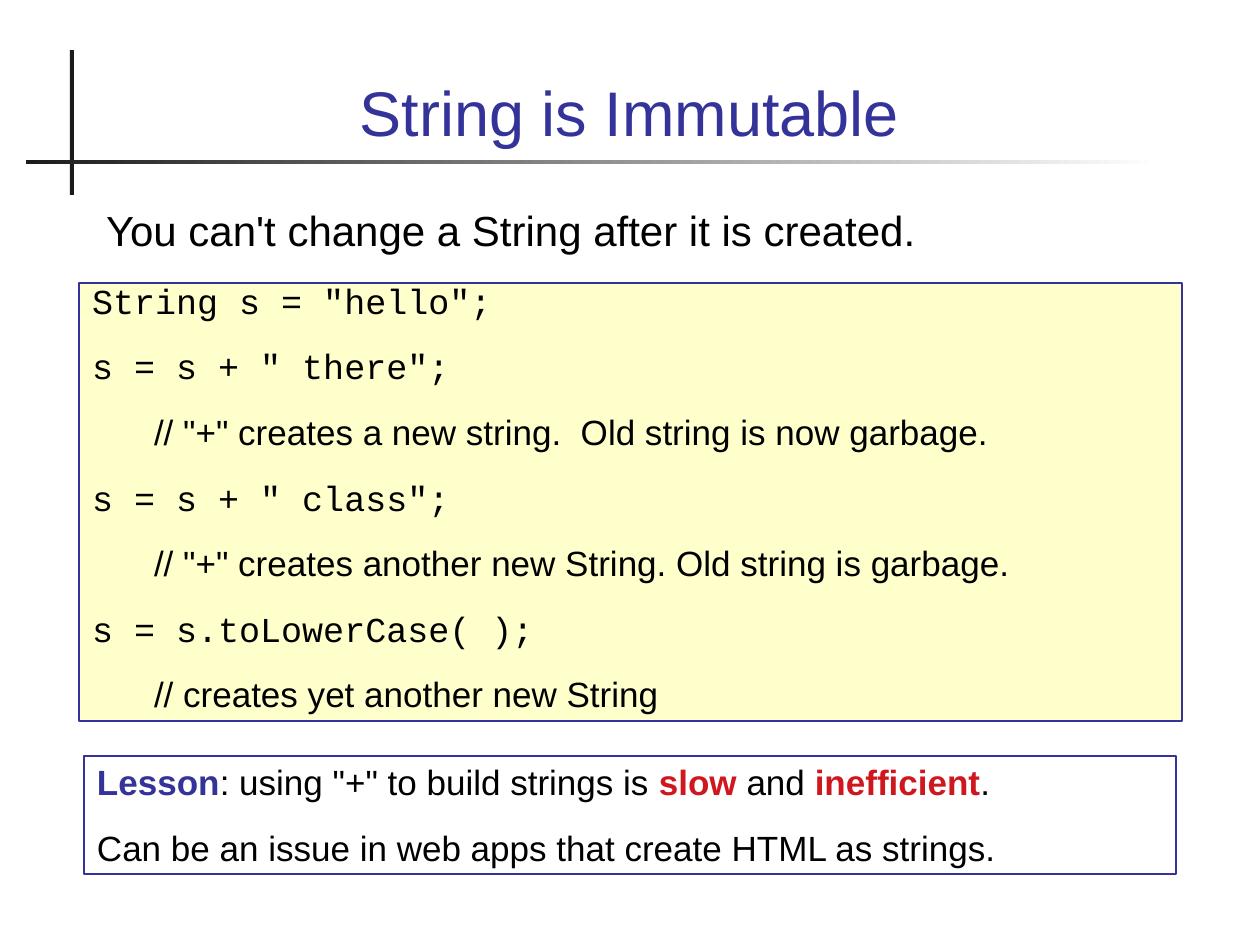
from dataclasses import dataclass

from pptx import Presentation
from pptx.dml.color import RGBColor
from pptx.enum.shapes import MSO_SHAPE as Shape
from pptx.enum.text import MSO_ANCHOR as Anchor, PP_ALIGN as Align
from pptx.util import Pt

EMU_PER_PX = 914400 / 126


@dataclass(frozen=True)
class Theme:
    sans: str = "Arial"
    mono: str = "Courier New"
    ink: str = "000000"
    blue: str = "333399"
    red: str = "CE181E"
    rule: str = "1C1C1C"
    paper: str = "FFFFFF"
    code_fill: str = "FFFFCC"
    title_size: int = 36
    lead_size: int = 24
    text_size: int = 20
    line_gap: float = 13.5
    border: float = 0.75


THEME = Theme()

CODE_LINES = [
    'String s = "hello";',
    's = s + " there";',
    '// "+" creates a new string.  Old string is now garbage.',
    's = s + " class";',
    '// "+" creates another new String. Old string is garbage.',
    "s = s.toLowerCase( );",
    "// creates yet another new String",
]


def px(length):
    return round(length * EMU_PER_PX)


def rgb(value):
    return RGBColor.from_string(value)


def add_rectangle(page, box, fill=None, line=None):
    shape = page.shapes.add_shape(Shape.RECTANGLE, *map(px, box))
    shape.shadow.inherit = False
    if fill:
        shape.fill.solid()
        shape.fill.fore_color.rgb = rgb(fill)
    else:
        shape.fill.background()
    if line:
        shape.line.color.rgb = rgb(line)
        shape.line.width = Pt(THEME.border)
    else:
        shape.line.fill.background()
    return shape


def prepare_frame(shape, anchor=Anchor.TOP, top=6):
    frame = shape.text_frame
    frame.word_wrap = True
    frame.vertical_anchor = anchor
    frame.margin_left = frame.margin_right = px(13)
    frame.margin_top, frame.margin_bottom = px(top), px(6)
    return frame


def next_paragraph(frame, first, indent=0):
    para = frame.paragraphs[0] if first else frame.add_paragraph()
    para.alignment = Align.LEFT
    if not first:
        para.space_before = Pt(THEME.line_gap)
    if indent:
        properties = para._p.get_or_add_pPr()
        properties.set("marL", str(px(indent)))
        properties.set("indent", "0")
    return para


def add_span(para, text, font=THEME.sans, size=THEME.text_size,
             color=THEME.ink, bold=False):
    span = para.add_run()
    span.text = text
    span.font.name = font
    span.font.size = Pt(size)
    span.font.bold = bold
    span.font.color.rgb = rgb(color)


def add_crossed_rules(page, box):
    left, top, width, height = box
    add_rectangle(page, (left + 44, top, 4, height), fill=THEME.rule)
    fading = add_rectangle(page, (left, top + 110, width, 4))
    fading.fill.gradient()
    fading.fill.gradient_angle = 0
    for stop, color in zip(fading.fill.gradient_stops, (THEME.rule, THEME.paper)):
        stop.color.rgb = rgb(color)


def add_title(page, box, text):
    shape = page.shapes.add_textbox(*map(px, box))
    para = next_paragraph(prepare_frame(shape, Anchor.BOTTOM), first=True)
    para.alignment = Align.CENTER
    add_span(para, text, size=THEME.title_size, color=THEME.blue)


def add_lead(page, box, text):
    shape = page.shapes.add_textbox(*map(px, box))
    para = next_paragraph(prepare_frame(shape, top=12), first=True)
    add_span(para, text, size=THEME.lead_size)


def add_code(page, box, lines):
    """Set statements in the code font and comments indented in the text font."""
    shape = add_rectangle(page, box, fill=THEME.code_fill, line=THEME.blue)
    frame = prepare_frame(shape, Anchor.BOTTOM)
    for index, line in enumerate(lines):
        comment = line.startswith("//")
        para = next_paragraph(frame, index == 0, indent=62 if comment else 0)
        add_span(para, line, font=THEME.sans if comment else THEME.mono)


def add_lesson(page, box):
    shape = add_rectangle(page, box, line=THEME.blue)
    frame = prepare_frame(shape, Anchor.BOTTOM)
    para = next_paragraph(frame, first=True)
    add_span(para, "Lesson", color=THEME.blue, bold=True)
    add_span(para, ': using "+" to build strings is ')
    add_span(para, "slow", color=THEME.red, bold=True)
    add_span(para, " and ")
    add_span(para, "inefficient", color=THEME.red, bold=True)
    add_span(para, ".")
    add_span(next_paragraph(frame, first=False),
             "Can be an issue in web apps that create HTML as strings.")


def main():
    deck = Presentation()
    deck.slide_width, deck.slide_height = px(1260), px(945)
    page = deck.slides.add_slide(deck.slide_layouts[6])
    add_crossed_rules(page, (26, 50, 1133, 145))
    add_title(page, (84, 35, 1091, 120), "String is Immutable")
    add_lead(page, (93, 193, 1091, 91),
             "You can't change a String after it is created.")
    add_code(page, (79, 283, 1103, 438), CODE_LINES)
    add_lesson(page, (84, 756, 1092, 118))
    deck.save("out.pptx")


if __name__ == "__main__":
    main()
